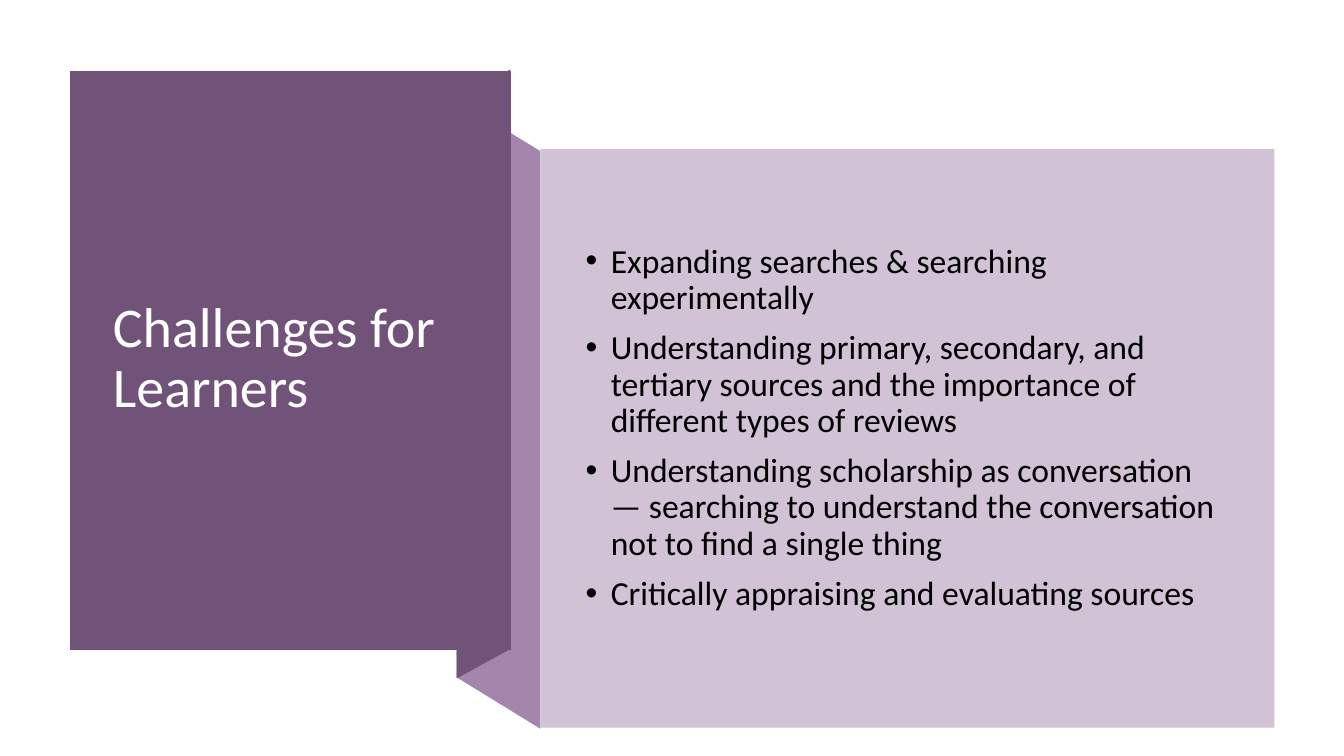
"""Build the slide on challenges for learners, with a folded purple banner."""
from lxml import etree
from pptx import Presentation
from pptx import util as u
from pptx.dml.color import RGBColor
from pptx.enum import shapes, text
from pptx.oxml.ns import qn

DARK_PURPLE = RGBColor(0x71, 0x53, 0x79)
MID_PURPLE = RGBColor(0xA4, 0x86, 0xAC)
PALE_PURPLE = RGBColor(0xD1, 0xC2, 0xD5)
WHITE = RGBColor(0xFF, 0xFF, 0xFF)
BLACK = RGBColor(0, 0, 0)

CHALLENGES = [
    "Expanding searches & searching experimentally",
    "Understanding primary, secondary, and tertiary sources and the importance of different types of reviews",
    "Understanding scholarship as conversation — searching to understand the conversation not to find a single thing",
    "Critically appraising and evaluating sources",
]


def paint(shape, color):
    shape.shadow.inherit = False
    shape.fill.solid()
    shape.fill.fore_color.rgb = color
    shape.line.fill.background()


def format_paragraph(paragraph, size, color):
    paragraph.alignment = text.PP_ALIGN.LEFT
    paragraph.line_spacing = 0.9
    for run in paragraph.runs:
        run.font.name = "Calibri"
        run.font.size = u.Pt(size)
        run.font.color.rgb = color


presentation = Presentation()
presentation.slide_width = u.Inches(13.33)
presentation.slide_height = u.Inches(7.5)
slide = presentation.slides.add_slide(presentation.slide_layouts[5])

ribbon_parts = [
    (MID_PURPLE, [(5.36, 7.23), (4.53, 6.72), (4.53, 0.99), (5.36, 1.5)]),
    (DARK_PURPLE, [(5.06, 6.44), (4.53, 6.73), (4.53, 0.98), (5.06, 0.69)]),
    (DARK_PURPLE, [(0.69, 0.7), (5.07, 0.7), (5.07, 6.45), (0.69, 6.45)]),
]
for color, corners in ribbon_parts:
    points = [(u.Inches(x), u.Inches(y)) for x, y in corners]
    builder = slide.shapes.build_freeform(*points[0])
    builder.add_line_segments(points[1:], close=True)
    paint(builder.convert_to_shape(), color)

panel = slide.shapes.add_shape(
    shapes.MSO_SHAPE.RECTANGLE, u.Inches(5.36), u.Inches(1.48), u.Inches(7.28), u.Inches(5.74)
)
paint(panel, PALE_PURPLE)

title = slide.shapes.title
panel._element.addprevious(title._element)
title.left, title.top = u.Inches(1.02), u.Inches(1.07)
title.width, title.height = u.Inches(3.71), u.Inches(4.99)
title.text_frame.text = "Challenges for Learners"
title.text_frame.word_wrap = True
title.text_frame.auto_size = text.MSO_AUTO_SIZE.NONE
title.text_frame.vertical_anchor = text.MSO_ANCHOR.MIDDLE
format_paragraph(title.text_frame.paragraphs[0], 40, WHITE)

body = slide.shapes.add_textbox(u.Inches(5.71), u.Inches(1.88), u.Inches(6.51), u.Inches(4.74))
body.text_frame.word_wrap = True
body.text_frame.vertical_anchor = text.MSO_ANCHOR.MIDDLE
body.text_frame.text = "\n".join(CHALLENGES)
for paragraph in body.text_frame.paragraphs:
    format_paragraph(paragraph, 24, BLACK)
    paragraph.space_before = u.Pt(10)
    properties = paragraph._p.get_or_add_pPr()
    properties.set("marL", str(u.Inches(0.25)))
    properties.set("indent", str(-u.Inches(0.25)))
    etree.SubElement(properties, qn("a:buFont")).set("typeface", "Arial")
    etree.SubElement(properties, qn("a:buChar")).set("char", "•")

presentation.save("out.pptx")
